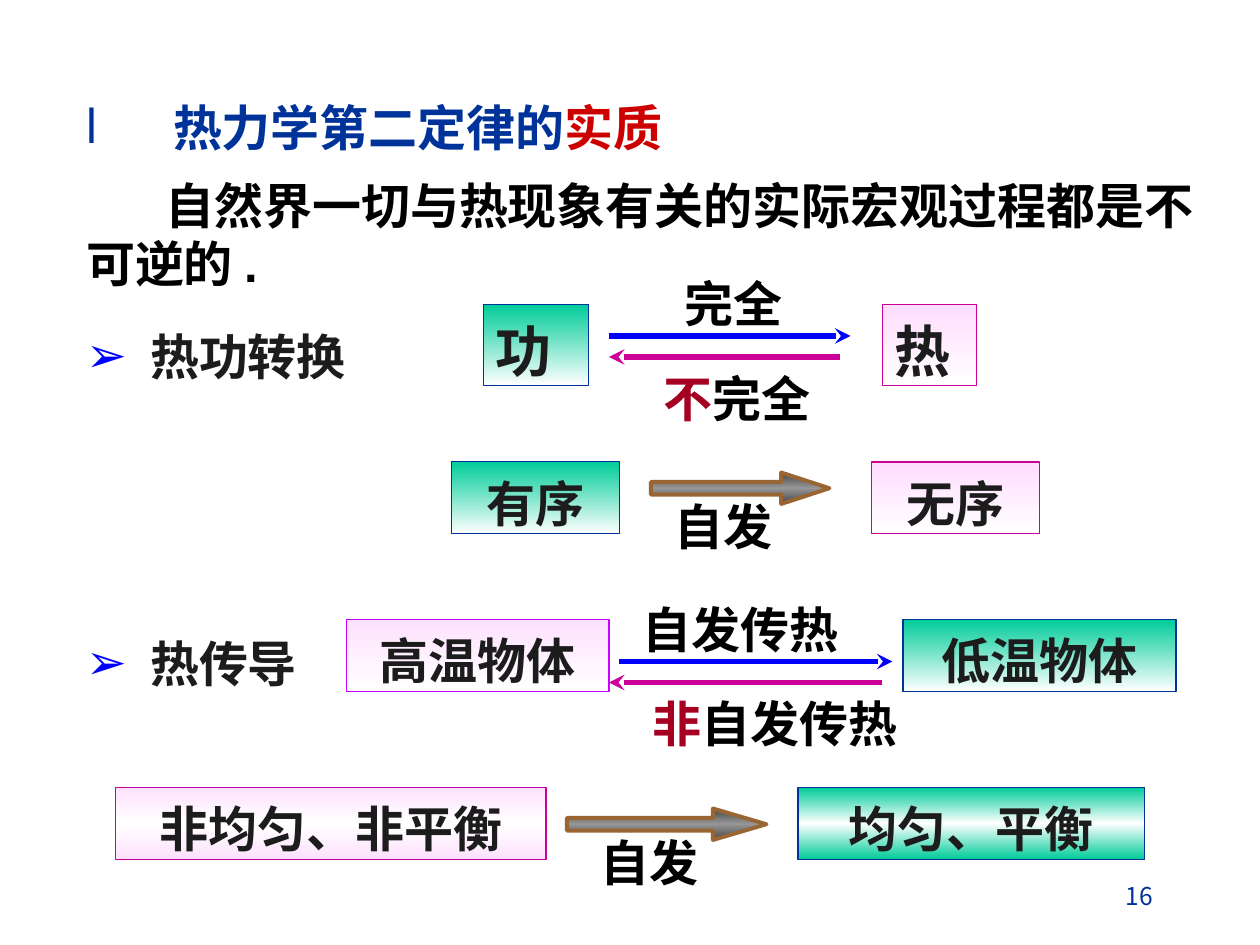
from lxml import etree
from pptx import Presentation
from pptx import util as u
from pptx.dml.color import RGBColor
from pptx.enum import shapes, text
from pptx.oxml import ns

NAVY = RGBColor(0x00, 0x33, 0x99)
BLUE = RGBColor(0x00, 0x00, 0xFF)
RED = RGBColor(0xCC, 0x00, 0x00)
CRIMSON = RGBColor(0xA5, 0x00, 0x21)
MAGENTA = RGBColor(0xCC, 0x00, 0x99)
VIOLET = RGBColor(0xCC, 0x00, 0xFF)
GREEN = RGBColor(0x00, 0xCC, 0x99)
PINK = RGBColor(0xFF, 0xDD, 0xFF)
ROSE = RGBColor(0xFD, 0xE2, 0xFE)
BROWN = RGBColor(0x99, 0x66, 0x33)
DARK_GREY = RGBColor(0x45, 0x45, 0x45)
GREY = RGBColor(0x96, 0x96, 0x96)
INK = RGBColor(0x1C, 0x1C, 0x1C)
BLACK = RGBColor(0x00, 0x00, 0x00)
WHITE = RGBColor(0xFF, 0xFF, 0xFF)

COLUMNS, ROWS = 120, 90
LINE_ROWS = 6.84
LEFT, CENTER, RIGHT = text.PP_ALIGN.LEFT, text.PP_ALIGN.CENTER, text.PP_ALIGN.RIGHT
TOP, MIDDLE = text.MSO_ANCHOR.TOP, text.MSO_ANCHOR.MIDDLE
CJK_FONT = "Noto Sans CJK SC"


def grid(*cells):
    """Turn grid cells of a twelfth of an inch into lengths."""
    return [u.Inches(cell / 12) for cell in cells]


def apply(target, values):
    """Set attributes from a dict of format values."""
    for name, value in values.items():
        setattr(target, name, value)


def add_child(parent, tag, **attributes):
    """Append a DrawingML element to a parent element."""
    return etree.SubElement(parent, ns.qn(f"a:{tag}"), attributes)


def set_bullet(para, bullet, color, margin, indent):
    """Give a paragraph its indents and its bullet, or none."""
    props = para._p.get_or_add_pPr()
    props.set("marL", str(u.Inches(margin)))
    props.set("indent", str(u.Inches(indent)))
    if bullet:
        add_child(add_child(props, "buClr"), "srgbClr", val=str(color))
        add_child(props, "buFont", typeface="Arial")
        add_child(props, "buChar", char=bullet)
    else:
        add_child(props, "buNone")


def write(box, spans, size=28, align=LEFT, anchor=TOP, font="Arial", bold=True,
          bullet=None, bullet_color=BLUE, margin=0, indent=0):
    """Fill a box with one paragraph of coloured spans."""
    frame = box.text_frame
    apply(frame, {
        "word_wrap": True, "auto_size": text.MSO_AUTO_SIZE.NONE,
        "vertical_anchor": anchor,
        "margin_left": u.Inches(0.1), "margin_right": u.Inches(0.1),
        "margin_top": u.Inches(0.1), "margin_bottom": 0})
    para = frame.paragraphs[0]
    set_bullet(para, bullet, bullet_color, margin, indent)
    apply(para, {"alignment": align, "line_spacing": u.Pt(round(size * 1.18)),
                 "space_before": u.Pt(0)})
    for words, color in spans:
        span = para.add_run()
        span.text = words
        apply(span.font, {"size": u.Pt(size), "bold": bold, "name": font})
        span.font.color.rgb = color
        add_child(span._r.get_or_add_rPr(), "ea", typeface=CJK_FONT)


def fill_placeholder(holder, left, top, width, height, spans, **style):
    """Move a template placeholder and write in it."""
    apply(holder, dict(zip(("left", "top", "width", "height"),
                           grid(left, top, width, height))))
    write(holder, spans, **style)


def add_label(page, left, top, width, spans, **style):
    """Add a one-line text box."""
    box = page.shapes.add_textbox(*grid(left, top, width, LINE_ROWS))
    write(box, spans, **style)


def add_gradient_shape(page, kind, cells, colors, outline, weight):
    """Add a shape with evenly spaced colours from top to bottom."""
    shape = page.shapes.add_shape(kind, *grid(*cells))
    shape.shadow.inherit = False
    shape.fill.gradient()
    shape.fill.gradient_angle = 270
    stops = shape._element.spPr.find(f".//{ns.qn('a:gsLst')}")
    for stop in list(stops):
        stops.remove(stop)
    for index, color in enumerate(colors):
        position = 100000 * index // (len(colors) - 1)
        stop = add_child(stops, "gs", pos=str(position))
        add_child(stop, "srgbClr", val=str(color))
    shape.line.color.rgb = outline
    shape.line.width = u.Pt(weight)
    return shape


def add_state(page, words, cells, colors, outline, weight=0.75, size=28, align=CENTER):
    """Add a framed state with its name."""
    box = add_gradient_shape(page, shapes.MSO_SHAPE.RECTANGLE, cells, colors,
                             outline, weight)
    write(box, [(words, INK)], size=size, align=align)


def add_block_arrow(page, left, top, width, head):
    """Add a wide arrow for a spontaneous process."""
    arrow = add_gradient_shape(page, shapes.MSO_SHAPE.RIGHT_ARROW, (left, top, width, 3),
                               (DARK_GREY, GREY, DARK_GREY), BROWN, 2.25)
    arrow.adjustments[0], arrow.adjustments[1] = 0.403, head


def add_thin_arrow(page, start, end, row, color):
    """Add a level line with an arrowhead at its end."""
    line = page.shapes.add_connector(shapes.MSO_CONNECTOR.STRAIGHT,
                                     *grid(start, row, end, row))
    line.line.color.rgb = color
    line.line.width = u.Pt(3)
    add_child(line.line._get_or_add_ln(), "tailEnd", type="stealth")
    add_child(line._element.spPr, "effectLst")


def add_arrow_pair(page, row, left, forward_left, right):
    """Add a forward arrow and the return arrow below it."""
    add_thin_arrow(page, forward_left, right, row, BLUE)
    add_thin_arrow(page, right - 1, left, row + 2, MAGENTA)


def main():
    """Build the slide."""
    deck = Presentation()
    deck.slide_width, deck.slide_height = grid(COLUMNS, ROWS)
    page = deck.slides.add_slide(deck.slide_layouts[1])
    title, body = page.placeholders
    fill_placeholder(title, 7, 8.2, 71, LINE_ROWS,
                     [("热力学第二定律的", NAVY), ("实质", RED)],
                     font="Times New Roman", bullet="l", bullet_color=NAVY,
                     margin=0.69, indent=-0.69)
    fill_placeholder(body, 7, 15.6, 109, 12.5,
                     [("自然界一切与热现象有关的实际宏观过程都是不可逆的 .", BLACK)],
                     indent=0.63)

    for words, top, width in (("热功转换", 30, 62), ("热传导", 59.2, 40)):
        add_label(page, 7, top, width, [(words, INK)], bullet="➢",
                  margin=0.51, indent=-0.51)

    green, pink, rose = (GREEN, WHITE), (PINK, WHITE), (ROSE, WHITE)
    large = {"weight": 0.5, "size": 32, "align": LEFT}
    add_state(page, "功", (46, 29, 10, 7.7), green, NAVY, **large)
    add_state(page, "热", (84, 29, 9, 7.7), pink, MAGENTA, **large)
    add_state(page, "有序", (43, 44, 16, LINE_ROWS), green, NAVY, weight=0.5)
    add_state(page, "无序", (83, 44, 16, LINE_ROWS), pink, MAGENTA)
    add_state(page, "高温物体", (33, 59, 25, LINE_ROWS), rose, VIOLET)
    add_state(page, "低温物体", (86, 59, 26, LINE_ROWS), green, NAVY)
    add_state(page, "非均匀、非平衡", (11, 75, 41, LINE_ROWS), (ROSE, WHITE, ROSE), MAGENTA)
    add_state(page, "均匀、平衡", (76, 75, 33, LINE_ROWS), (GREEN, WHITE, GREEN), NAVY)

    add_arrow_pair(page, 32, 58, 58, 81)
    add_arrow_pair(page, 63, 58, 59, 85)
    add_block_arrow(page, 62, 45, 17, 1.53)
    add_block_arrow(page, 54, 77, 19, 1.7)

    for left, top, width, spans in (
            (64, 25, 18, [("完全", BLACK)]),
            (62, 34, 18, [("不", CRIMSON), ("完全", BLACK)]),
            (63.1, 46.2, 17, [("自发", BLACK)]),
            (60, 56, 28, [("自发传热", BLACK)]),
            (61, 65, 27, [("非", CRIMSON), ("自发传热", BLACK)]),
            (56, 78.2, 24, [("自发", BLACK)])):
        add_label(page, left, top, width, spans)

    add_label(page, 86, 81.3, 25, [("16", NAVY)], size=14, align=RIGHT,
              anchor=MIDDLE, font=CJK_FONT, bold=False)
    deck.save("out.pptx")


if __name__ == "__main__":
    main()
